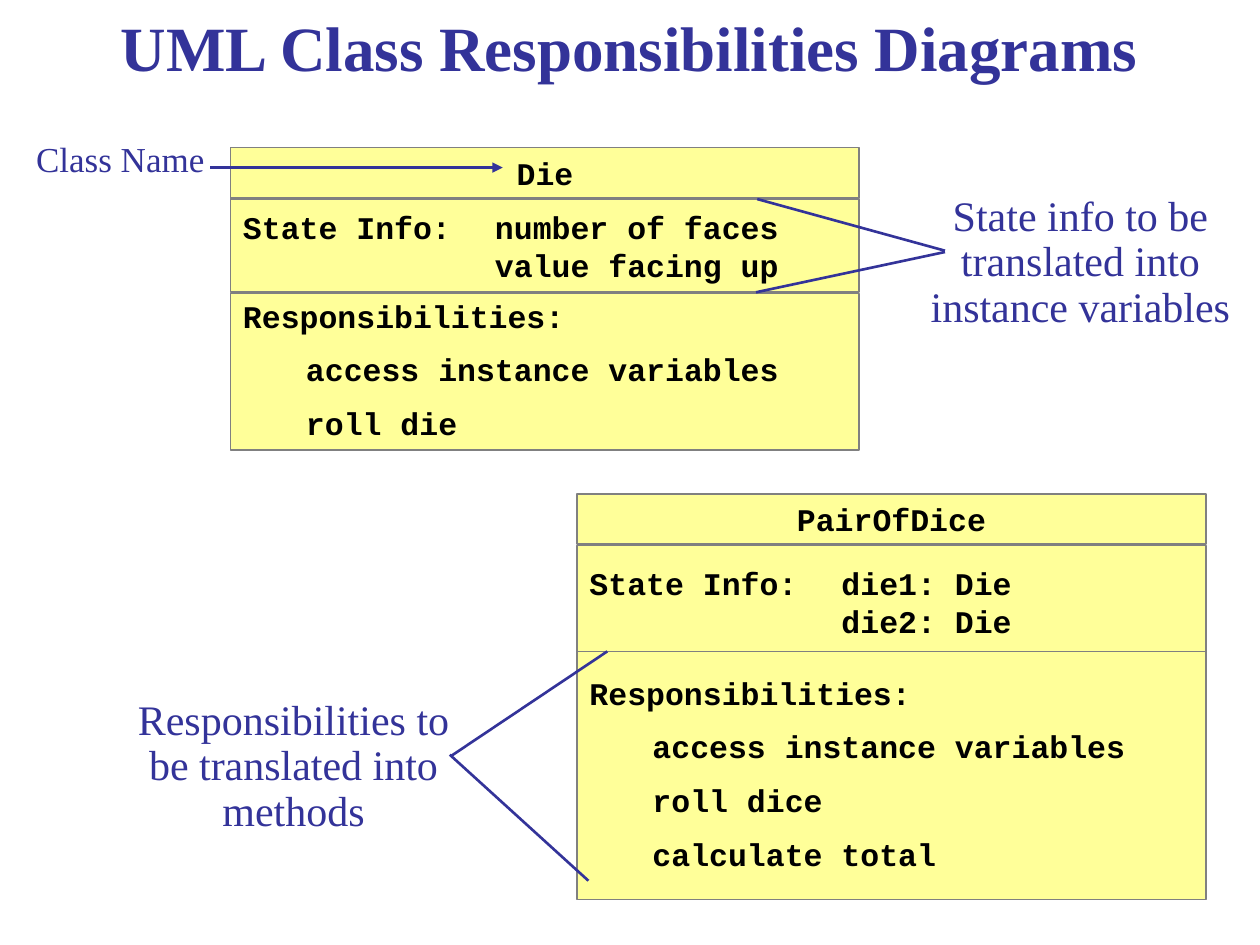
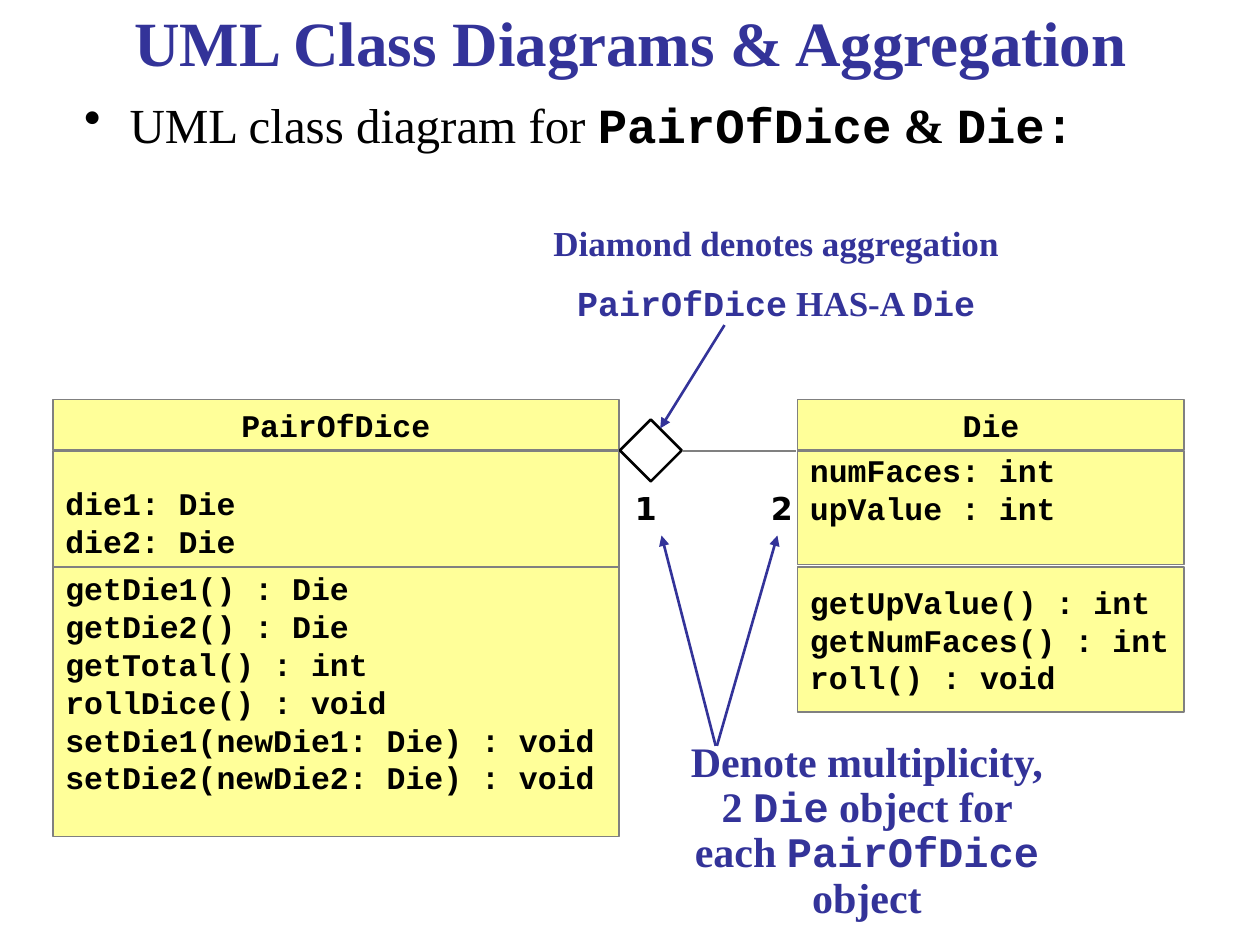
from lxml.etree import SubElement
from pptx import Presentation
from pptx.dml.color import RGBColor
from pptx.enum.shapes import MSO_CONNECTOR as CONN, MSO_SHAPE as SHAPE
from pptx.enum.text import MSO_ANCHOR as ANCHOR, PP_ALIGN as ALIGN
from pptx.oxml.ns import qn
from pptx.util import Inches, Pt

INK, BLUE, GRAY, YELLOW = "000000", "333399", "808080", "FFFF99"
SERIF, MONO, SANS = "Times New Roman", "Courier New", "DejaVu Sans"
HEADER_H, HEADER_STEP = 0.4, 0.41
BLANK_LINE = 0.3


def rgb(color):
    return RGBColor.from_string(color)


def add_tab(p, pos):
    tabs = SubElement(p._p.get_or_add_pPr(), qn("a:tabLst"))
    SubElement(tabs, qn("a:tab"), pos=str(Inches(pos)), algn="l")


def add_bullet(p, indent):
    pPr = p._p.get_or_add_pPr()
    pPr.set("marL", str(Inches(indent)))
    pPr.set("indent", str(-Inches(indent)))
    color = SubElement(pPr, qn("a:buClr"))
    SubElement(color, qn("a:srgbClr"), val=INK)
    SubElement(pPr, qn("a:buChar"), char="•")


class Deck:
    def __init__(self):
        self.prs = Presentation()
        self.prs.slide_width, self.prs.slide_height = Inches(10), Inches(7.5)
        self.s = None

    def slide(self, title, left, top, width):
        self.s = self.prs.slides.add_slide(self.prs.slide_layouts[6])
        tf = self.text(left, top, width, 0.7, [title], 36, bold=True, spacing=1)
        tf.vertical_anchor = ANCHOR.MIDDLE

    def fill_text(self, tf, lines, size, font, color, bold, align, spacing=1, gap=0, tab=None):
        """Fill a frame; words between backticks are set in the code font."""
        for i, line in enumerate(lines):
            p = tf.paragraphs[0] if i == 0 else tf.add_paragraph()
            if tab:
                add_tab(p, tab)
            p.alignment, p.line_spacing = align, spacing
            p.space_before = Pt(gap if i else 0)
            for j, part in enumerate(line.split("`")):
                if not part:
                    continue
                r = p.add_run()
                r.text = part
                r.font.name = MONO if j % 2 else font
                r.font.size, r.font.bold = Pt(size), bold
                r.font.color.rgb = rgb(color)

    def text(self, left, top, width, height, lines, size, font=SERIF, color=BLUE,
             bold=False, align=ALIGN.CENTER, spacing=0.9, gap=0, wrap=True):
        sp = self.s.shapes.add_textbox(*map(Inches, (left, top, width, height)))
        tf = sp.text_frame
        tf.word_wrap = wrap
        self.fill_text(tf, lines, size, font, color, bold, align, spacing, gap)
        return tf

    def shape(self, kind, left, top, width, height, line, weight, fill=None):
        sp = self.s.shapes.add_shape(kind, *map(Inches, (left, top, width, height)))
        sp.shadow.inherit = False
        if fill:
            sp.fill.solid()
            sp.fill.fore_color.rgb = rgb(fill)
        else:
            sp.fill.background()
        sp.line.color.rgb, sp.line.width = rgb(line), Pt(weight)
        return sp

    def compartment(self, left, top, width, height, lines, align=ALIGN.LEFT,
                    blank_below=0, **style):
        sp = self.shape(SHAPE.RECTANGLE, left, top, width, height, GRAY, 1, YELLOW)
        tf = sp.text_frame
        tf.word_wrap, tf.vertical_anchor = True, ANCHOR.MIDDLE
        tf.margin_bottom = Inches(0.05 + blank_below)
        self.fill_text(tf, lines, 18, MONO, INK, True, align, **style)

    def class_box(self, name, left, top, width, state, duties):
        """Draw a class; state is (height, lines, style), duties (top, height, lines, style)."""
        self.compartment(left, top, width, HEADER_H, [name], ALIGN.CENTER)
        height, lines, style = state
        self.compartment(left, top + HEADER_STEP, width, height, lines, **style)
        duty_top, height, lines, style = duties
        self.compartment(left, duty_top, width, height, lines, **style)

    def line(self, x1, y1, x2, y2, color=BLUE, arrow=False):
        c = self.s.shapes.add_connector(CONN.STRAIGHT, *map(Inches, (x1, y1, x2, y2)))
        c.line.color.rgb, c.line.width = rgb(color), Pt(1.5)
        spPr = c._element.spPr
        if arrow:
            SubElement(spPr.find(qn("a:ln")), qn("a:tailEnd"), type="triangle")
        SubElement(spPr, qn("a:effectLst"))


def responsibilities_slide(d):
    d.slide("UML Class Responsibilities Diagrams", 0.33, 0.02, 9.33)
    state_style = dict(tab=2)
    duty_style = dict(spacing=0.9, gap=11.2, tab=0.5)
    d.class_box("PairOfDice", 4.58, 3.92, 4.99,
                (0.9, ["State Info:\tdie1: Die", "\tdie2: Die"], state_style),
                (5.17, 1.97, ["Responsibilities:", "\taccess instance variables",
                              "\troll dice", "\tcalculate total"], duty_style))
    d.class_box("Die", 1.83, 1.17, 4.99,
                (0.74, ["State Info:\tnumber of faces", "\tvalue facing up"], state_style),
                (2.33, 1.24, ["Responsibilities:", "\taccess instance variables",
                              "\troll die"], duty_style))
    d.text(0.17, 1.08, 1.57, 0.4, ["Class Name"], 20)
    d.line(1.67, 1.33, 3.99, 1.33, arrow=True)
    d.text(0.92, 5.5, 2.82, 1.18, ["Responsibilities to be translated into methods"], 24)
    d.line(3.58, 6, 4.82, 5.17)
    d.line(4.67, 6.99, 3.57, 5.99)
    d.text(7.17, 1.5, 2.81, 1.18, ["State info to be translated into instance variables"], 24)
    d.line(6.01, 1.58, 7.5, 1.99)
    d.line(7.5, 2, 6, 2.32)


def aggregation_slide(d):
    d.slide("UML Class Diagrams & Aggregation", 0.17, -0.02, 9.67)
    tf = d.text(0.57, 0.75, 8.85, 0.87, ["UML class diagram for `PairOfDice` & `Die:`"], 28,
                color=INK, bold=True, align=ALIGN.LEFT)
    p = tf.paragraphs[0]
    p.runs[0].font.bold = False
    add_bullet(p, 0.36)

    blank_style = dict(blank_below=BLANK_LINE)
    d.class_box("Die", 6.33, 3.17, 3.07,
                (0.9, ["numFaces: int", "upValue : int"], blank_style),
                (4.5, 1.15, ["getUpValue() : int", "getNumFaces() : int",
                             "roll() : void"], {}))
    d.class_box("PairOfDice", 0.42, 3.17, 4.49,
                (1.12, ["die1: Die", "die2: Die"], {}),
                (4.5, 2.14, ["getDie1() : Die", "getDie2() : Die", "getTotal() : int",
                             "rollDice() : void", "setDie1(newDie1: Die) : void",
                             "setDie2(newDie2: Die) : void"], blank_style))
    d.line(5.42, 3.58, 6.32, 3.58, GRAY)
    d.shape(SHAPE.FLOWCHART_DECISION, 4.92, 3.33, 0.49, 0.49, INK, 1.5)
    for count, left in (("1", 4.94), ("2", 6.02)):
        d.text(left, 3.83, 0.34, 0.4, [count], 18, SANS, INK, True, spacing=1, wrap=False)

    d.text(5.27, 5.83, 3.22, 1.54,
           ["Denote multiplicity, 2 `Die` object for each `PairOfDice` object"], 24, bold=True)
    d.line(5.68, 5.92, 5.25, 4.25, arrow=True)
    d.line(5.69, 5.92, 6.17, 4.25, arrow=True)
    d.text(4.25, 1.75, 3.82, 0.88,
           ["Diamond denotes aggregation", "`PairOfDice` HAS-A `Die`"], 20, bold=True, gap=12.5)
    d.line(5.75, 2.58, 5.24, 3.4, arrow=True)


def main():
    d = Deck()
    responsibilities_slide(d)
    aggregation_slide(d)
    d.prs.save("out.pptx")


if __name__ == "__main__":
    main()
